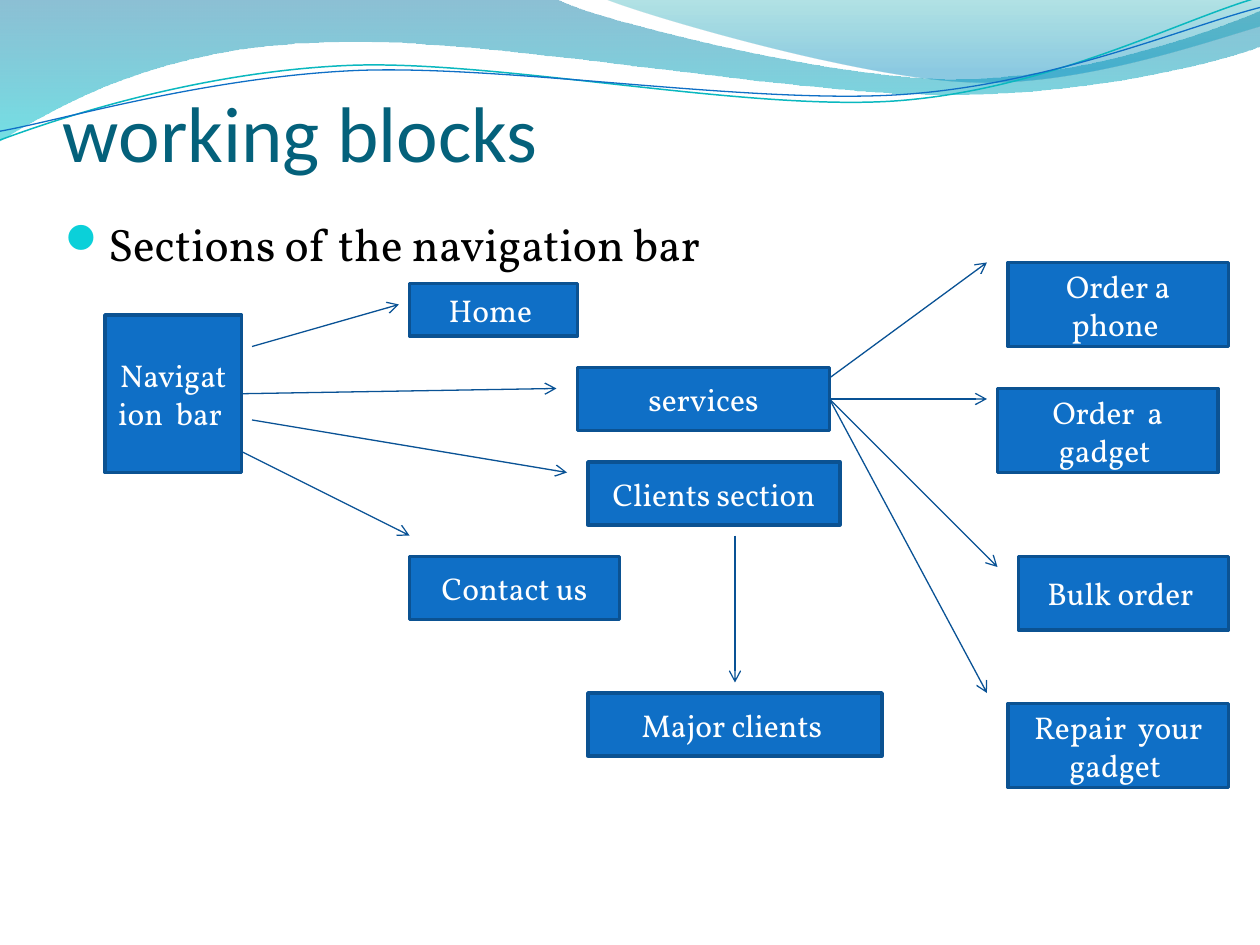
from lxml import etree
from pptx import Presentation
from pptx.dml.color import RGBColor
from pptx.enum.shapes import MSO_CONNECTOR, MSO_SHAPE
from pptx.enum.text import MSO_ANCHOR, PP_ALIGN
from pptx.oxml import parse_xml
from pptx.oxml.ns import nsdecls, qn
from pptx.util import Pt

THEME = {
    "title": ("Calibri", 45, "04617B"),
    "body": ("Vollkorn", 26, "000000"),
    "block": ("Vollkorn", 18, "FFFFFF"),
    "block_fill": "0F6FC6",
    "block_line": "0B5292",
    "arrow": "095295",
    "bullet": "0BD0D9",
    "wide_wave": [(0, "0074A1", 45), (100, "00C6CF", 55)],
    "right_wave": [(0, "00A1A9", 30), (80, "008BBF", 45)],
    "teal_curve": "0AB8BF",
    "blue_curve": "0F6FC6",
}

prs = Presentation()
prs.slide_width, prs.slide_height = Pt(720), Pt(540)
slide = prs.slides.add_slide(prs.slide_layouts[6])
shapes = slide.shapes


def add_wave(start, segments, closed):
    points = [(Pt(x), Pt(y)) for segment in segments
              for x, y in zip(segment[::2], segment[1::2])]
    builder = shapes.build_freeform(Pt(start[0]), Pt(start[1]), scale=1.0)
    builder.add_line_segments(points, close=closed)
    wave = builder.convert_to_shape()
    wave.shadow.inherit = False
    lines = iter(list(wave._element.iter(qn("a:lnTo"))))
    for segment in segments:
        first = next(lines)
        if len(segment) == 6:
            first.tag = qn("a:cubicBezTo")
            for line in (next(lines), next(lines)):
                first.append(line[0])
                line.getparent().remove(line)
    return wave


def write_text(shape, text, style, align, anchor):
    font_name, size, color = THEME[style]
    frame = shape.text_frame
    frame.word_wrap = True
    frame.vertical_anchor = anchor
    paragraph = frame.paragraphs[0]
    paragraph.alignment = align
    run = paragraph.add_run()
    run.text = text
    run.font.name = font_name
    run.font.size = Pt(size)
    run.font.color.rgb = RGBColor.from_string(color)
    return paragraph


filled_waves = [
    ("wide_wave", (0, 0), [
        (317, -1), (343, 12, 478, 45, 546, 45), (614, 45, 690, 19, 720, 6),
        (721, 26), (708, 32, 626, 55, 537, 54), (447, 54, 275, 20, 185, 24),
        (93, 26, 33, 60, -1, 81)]),
    ("right_wave", (345, -1), [
        (366, 8, 491, 45, 554, 47), (616, 50, 692, 23, 720, 15), (720, 0)]),
]
for style, start, segments in filled_waves:
    wave = add_wave(start, segments, True)
    wave.line.fill.background()
    stops = "".join(
        f'<a:gs pos="{pos * 1000}"><a:srgbClr val="{color}">'
        f'<a:alpha val="{alpha * 1000}"/></a:srgbClr></a:gs>'
        for pos, color, alpha in THEME[style])
    gradient = parse_xml(
        f'<a:gradFill {nsdecls("a")} rotWithShape="1"><a:gsLst>{stops}</a:gsLst>'
        '<a:lin ang="5400000" scaled="0"/></a:gradFill>')
    wave._element.spPr.find(qn("a:custGeom")).addnext(gradient)

curves = [
    ("teal_curve", 0.85, (0, 80), [
        (35, 67, 114, 41, 199.5, 37.4), (284, 34, 427, 64, 513, 57.6),
        (600, 51, 675, 11, 719, -1.4)]),
    ("blue_curve", 0.75, (0, 75), [
        (34, 69, 118, 44, 204, 40.3), (290, 37, 430, 60, 516, 54),
        (602, 48, 678, 15, 720, 4.3)]),
]
for style, width, start, segments in curves:
    curve = add_wave(start, segments, False)
    curve.fill.background()
    curve.line.color.rgb = RGBColor.from_string(THEME[style])
    curve.line.width = Pt(width)

title = shapes.add_textbox(Pt(36), Pt(55), Pt(648), Pt(46.8))
write_text(title, "working blocks", "title", PP_ALIGN.LEFT, MSO_ANCHOR.BOTTOM)
title.text_frame.margin_left = title.text_frame.margin_right = Pt(0)
title.text_frame.margin_bottom = Pt(0)

body = shapes.add_textbox(Pt(30), Pt(120), Pt(648), Pt(345.6))
bullet = write_text(body, "Sections of the navigation bar ", "body",
                    PP_ALIGN.LEFT, MSO_ANCHOR.TOP)
bullet.space_before = Pt(5.2)
props = bullet._p.get_or_add_pPr()
props.set("marL", str(Pt(21.6)))
props.set("indent", str(-Pt(21.6)))
color = etree.SubElement(props, qn("a:buClr"))
etree.SubElement(color, qn("a:srgbClr"), val=THEME["bullet"])
etree.SubElement(props, qn("a:buSzPct"), val="95000")
etree.SubElement(props, qn("a:buFont"), typeface="Wingdings 2", charset="2")
etree.SubElement(props, qn("a:buChar"), char="\uf097")

blocks = [
    ("Navigation  bar ", 60, 180, 78, 90),
    ("Home ", 234, 162, 96, 30),
    ("services", 330, 210, 144, 36),
    ("Clients section", 336, 264, 144, 36),
    ("Contact us", 234, 318, 120, 36),
    ("Order a phone ", 576, 150, 126, 48),
    ("Order  a gadget ", 570, 222, 126, 48),
    ("Bulk order ", 582, 318, 120, 42),
    ("Repair  your gadget ", 576, 402, 126, 48),
    ("Major clients ", 336, 396, 168, 36),
]
for text, *box in blocks:
    block = shapes.add_shape(MSO_SHAPE.RECTANGLE, *map(Pt, box))
    block.shadow.inherit = False
    block.fill.solid()
    block.fill.fore_color.rgb = RGBColor.from_string(THEME["block_fill"])
    block.line.color.rgb = RGBColor.from_string(THEME["block_line"])
    block.line.width = Pt(2)
    write_text(block, text, "block", PP_ALIGN.CENTER, MSO_ANCHOR.MIDDLE)

arrows = [
    (144, 198, 228, 174),
    (138, 225, 318, 222),
    (138, 258, 234, 306),
    (144, 240, 324, 270),
    (474, 216, 564, 150),
    (474, 228, 570, 324),
    (474, 228, 564, 228),
    (474, 228, 564, 396),
    (420, 306, 420, 390),
]
for ends in arrows:
    arrow = shapes.add_connector(MSO_CONNECTOR.STRAIGHT, *map(Pt, ends))
    arrow.line.color.rgb = RGBColor.from_string(THEME["arrow"])
    arrow.line.width = Pt(0.75)
    etree.SubElement(arrow.line._get_or_add_ln(), qn("a:tailEnd"), type="arrow")
    etree.SubElement(arrow._element.spPr, qn("a:effectLst"))

prs.save("out.pptx")
